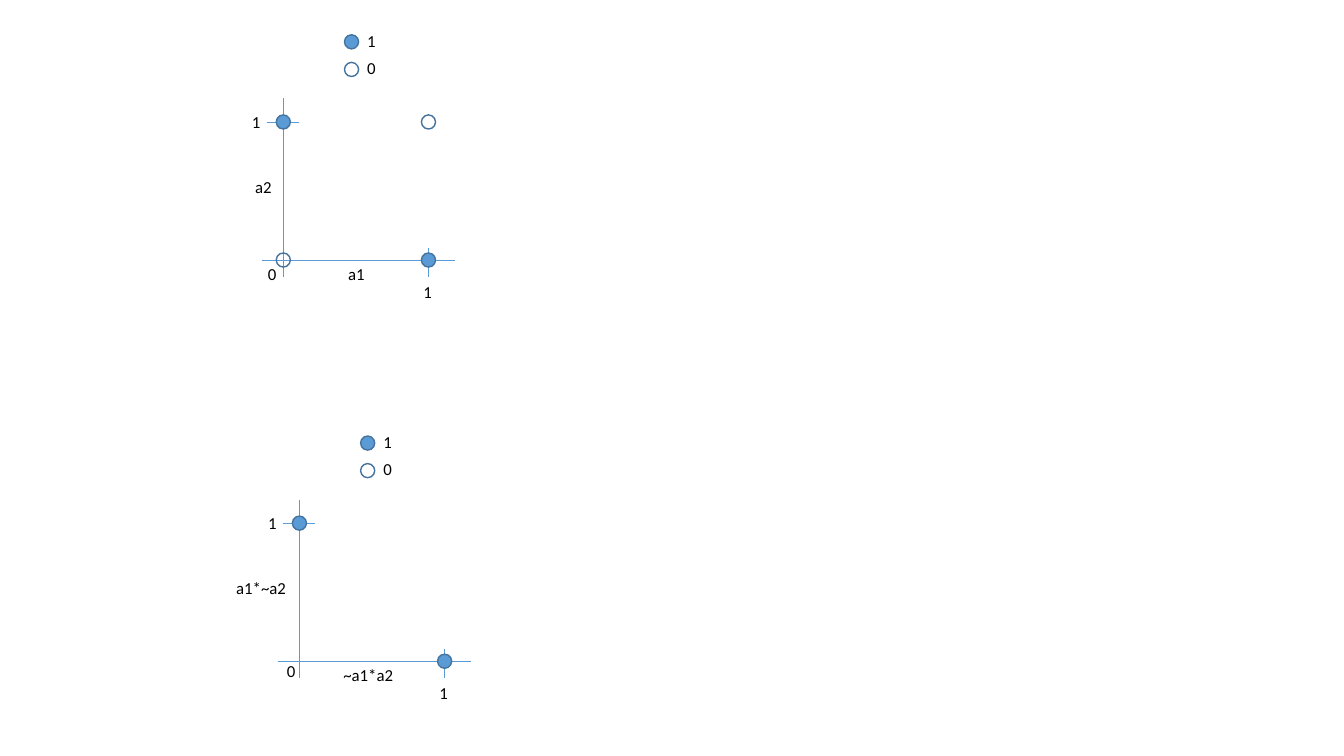
from lxml import etree
from pptx import Presentation
from pptx import util as u
from pptx.dml.color import RGBColor
from pptx.enum import shapes, text
from pptx.oxml.ns import qn

HUES = {"blue": "5B9BD5", "edge": "43739E", "ink": "000000"}
COL, ROW = 1.44, 1.37  # inches per unit of each axis
DOT, HIGH = 0.14, 0.3  # dot size and label height

deck = Presentation()
deck.slide_width, deck.slide_height = u.Inches(13.33), u.Inches(7.5)
slide = deck.slides.add_slide(deck.slide_layouts[6])


def spot(zero, x, y):
    """Turn axis units, y upwards, into a place on the slide."""
    return u.Inches(zero[0] + x * COL), u.Inches(zero[1] - y * ROW)


def frame(zero, x, y, wide, high):
    """Give left, top, width and height of a box centred on a point."""
    left, top = spot(zero, x, y)
    wide, high = u.Inches(wide), u.Inches(high)
    return left - wide // 2, top - high // 2, wide, high


# Both axes, then the tick at 1 on each
lines = [(0, 1.17, 0, -0.12), (-0.15, 0, 1.18, 0),
         (1, 0.09, 1, -0.12), (0.11, 1, -0.11, 1)]

# Legend dots and the two points that both plots share: x, y, filled
dots = [(0, 1, True), (1, 0, True), (0.47, 1.38, False), (0.47, 1.58, True)]

# Legend and tick labels: wording, x, y, width
marks = [("1", 0.6, 1.59, 0.26), ("0", 0.6, 1.39, 0.26),
         ("1", 1, -0.23, 0.3), ("1", -0.18, 1, 0.3)]

plots = [
    {"zero": (2.97, 6.56), "dots": [],
     "marks": [("a1*~a2", -0.25, 0.53, 0.73), ("~a1*a2", 0.48, -0.1, 0.71),
               ("0", -0.05, -0.07, 0.3)]},
    {"zero": (2.81, 2.58), "dots": [(1, 1, False), (0, 0, False)],
     "marks": [("a2", -0.13, 0.53, 0.38), ("a1", 0.51, -0.1, 0.38),
               ("0", -0.07, -0.1, 0.3)]},
]

for plot in plots:
    zero = plot["zero"]
    group = slide.shapes.add_group_shape().shapes

    for x1, y1, x2, y2 in lines:
        line = group.add_connector(shapes.MSO_CONNECTOR.STRAIGHT,
                                   *spot(zero, x1, y1), *spot(zero, x2, y2))
        line.line.color.rgb = RGBColor.from_string(HUES["blue"])
        line.line.width = u.Pt(0.5)
        etree.SubElement(line._element.spPr, qn("a:effectLst"))

    for x, y, full in dots + plot["dots"]:
        dot = group.add_shape(shapes.MSO_SHAPE.OVAL,
                              *frame(zero, x, y, DOT, DOT))
        dot.shadow.inherit = False
        dot.line.color.rgb = RGBColor.from_string(HUES["edge"])
        dot.line.width = u.Pt(1)
        if full:
            dot.fill.solid()
            dot.fill.fore_color.rgb = RGBColor.from_string(HUES["blue"])
        else:
            dot.fill.background()

    for words, x, y, wide in marks + plot["marks"]:
        body = group.add_textbox(*frame(zero, x, y, wide, HIGH)).text_frame
        body.text = words
        body.word_wrap = False
        body.auto_size = text.MSO_AUTO_SIZE.SHAPE_TO_FIT_TEXT
        font = body.paragraphs[0].runs[0].font
        font.name, font.size = "Calibri", u.Pt(12)
        font.color.rgb = RGBColor.from_string(HUES["ink"])

deck.save("out.pptx")
